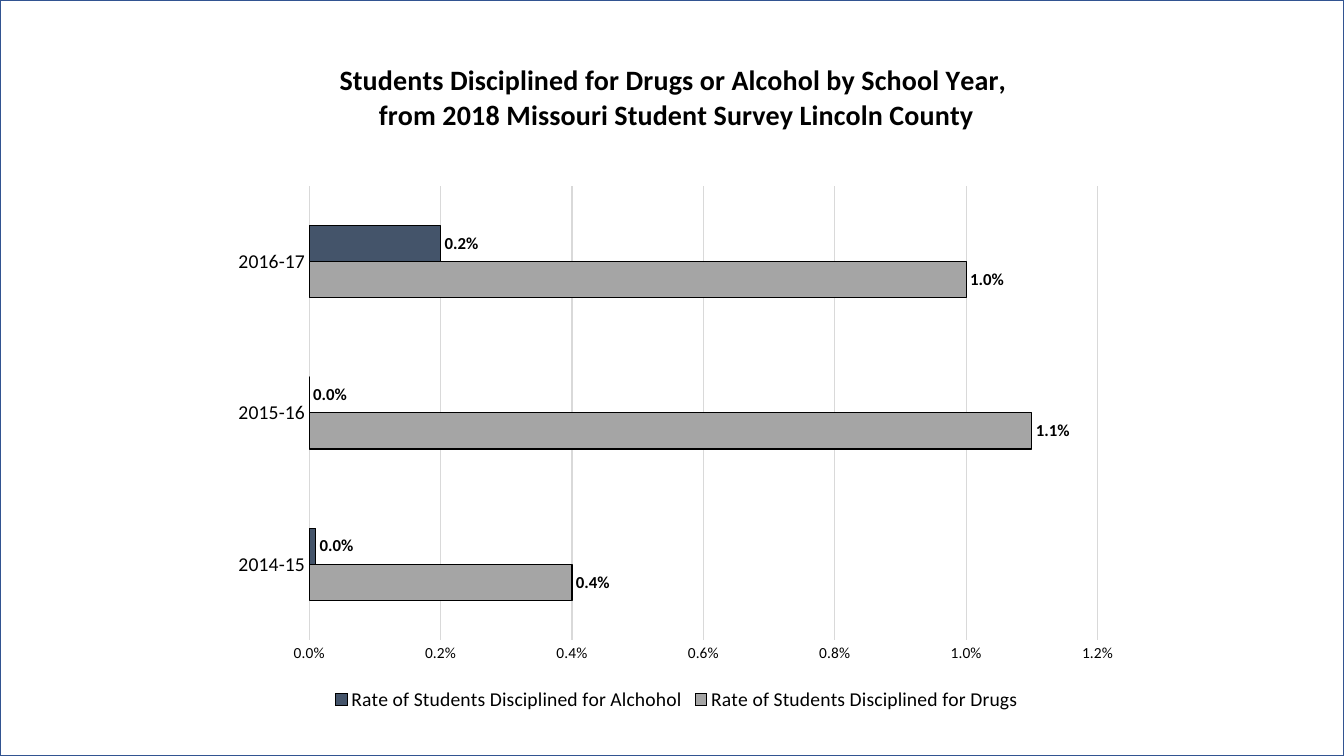
from lxml import etree
from pptx import Presentation
from pptx.chart.data import CategoryChartData
from pptx.dml.color import RGBColor
from pptx.enum.chart import (XL_CHART_TYPE, XL_LABEL_POSITION as LabelPos,
                             XL_LEGEND_POSITION as LegendPos,
                             XL_TICK_MARK as TickMark)
from pptx.enum.shapes import MSO_SHAPE
from pptx.oxml.ns import qn
from pptx.util import Inches, Pt

COLORS = {"text": "000000", "frame": "325491", "grid": "D9D9D9",
          "drugs": "A5A5A5", "alcohol": "44546A"}
FONT = "Calibri"
PERCENT = "0.0%"
YEARS = ["2014-15", "2015-16", "2016-17"]
SERIES = [
    ("Rate of Students Disciplined for Drugs", (0.004, 0.011, 0.01), "drugs"),
    ("Rate of Students Disciplined for Alchohol", (0.0001, 0, 0.002), "alcohol"),
]
TITLE = ["Students Disciplined for Drugs or Alcohol by School Year, ",
         "from 2018 Missouri Student Survey Lincoln County"]


def rgb(name):
    return RGBColor.from_string(COLORS[name])


def set_font(font, size, bold=False, color="text"):
    font.name, font.size, font.bold = FONT, Pt(size), bold
    font.color.rgb = rgb(color)


def set_line(line, color, width=0.75):
    line.color.rgb = rgb(color)
    line.width = Pt(width)


def add_text(p, text, **fmt):
    r = p.add_run()
    r.text = text
    set_font(r.font, **fmt)


def add_frame(s, x, y, w, h):
    sp = s.shapes.add_shape(MSO_SHAPE.RECTANGLE, x, y, w, h)
    sp.shadow.inherit = False
    sp.fill.background()
    set_line(sp.line, "frame", 1)


def place_plot(chart, **box):
    """Fix the inner plot area as fractions of the chart."""
    area = chart.plots[0]._element.getparent()
    for old in area.findall(qn("c:layout")):
        area.remove(old)
    layout = etree.Element(qn("c:layout"))
    manual = etree.SubElement(layout, qn("c:manualLayout"))
    settings = {"layoutTarget": "inner", "xMode": "edge", "yMode": "edge", **box}
    for tag, val in settings.items():
        etree.SubElement(manual, qn(f"c:{tag}")).set("val", str(val))
    area.insert(0, layout)


def format_axes(chart):
    years, rates = chart.category_axis, chart.value_axis
    for axis, size in ((years, 14), (rates, 11)):
        axis.major_tick_mark = axis.minor_tick_mark = TickMark.NONE
        set_font(axis.tick_labels.font, size)
    set_line(years.format.line, "grid")
    rates.format.line.fill.background()
    rates.minimum_scale, rates.maximum_scale, rates.major_unit = 0, 0.012, 0.002
    rates.tick_labels.number_format = PERCENT
    rates.tick_labels.number_format_is_linked = False
    set_line(rates.major_gridlines.format.line, "grid")


def format_bars(plot):
    plot.gap_width, plot.overlap, plot.vary_by_categories = 219, 0, False
    for bars, (_, _, color) in zip(plot.series, SERIES):
        bars.format.fill.solid()
        bars.format.fill.fore_color.rgb = rgb(color)
        set_line(bars.format.line, "text")
        labels = bars.data_labels
        labels.show_value = True
        labels.position = LabelPos.OUTSIDE_END
        labels.number_format, labels.number_format_is_linked = PERCENT, False
        set_font(labels.font, 12, bold=True)


def add_discipline_chart(s, x, y, w, h):
    data = CategoryChartData(number_format=PERCENT)
    data.categories = YEARS
    for name, values, _ in SERIES:
        data.add_series(name, values)
    chart = s.shapes.add_chart(XL_CHART_TYPE.BAR_CLUSTERED, x, y, w, h, data).chart
    set_font(chart.font, 10)

    tf = chart.chart_title.text_frame
    add_text(tf.paragraphs[0], TITLE[0], size=20, bold=True)
    add_text(tf.add_paragraph(), TITLE[1], size=20, bold=True)
    chart.chart_title.include_in_layout = False

    chart.has_legend = True
    chart.legend.position = LegendPos.BOTTOM
    chart.legend.include_in_layout = False
    set_font(chart.legend.font, 14)

    format_axes(chart)
    format_bars(chart.plots[0])
    place_plot(chart, x=0.097, y=0.217, w=0.865, h=0.671)


def main():
    prs = Presentation()
    prs.slide_width, prs.slide_height = Inches(13.33), Inches(7.5)
    s = prs.slides.add_slide(prs.slide_layouts[6])
    add_frame(s, 0, 0, prs.slide_width, prs.slide_height)
    add_discipline_chart(s, Inches(2.19), Inches(0.39), Inches(9.04), Inches(6.71))
    prs.save("out.pptx")


if __name__ == "__main__":
    main()
